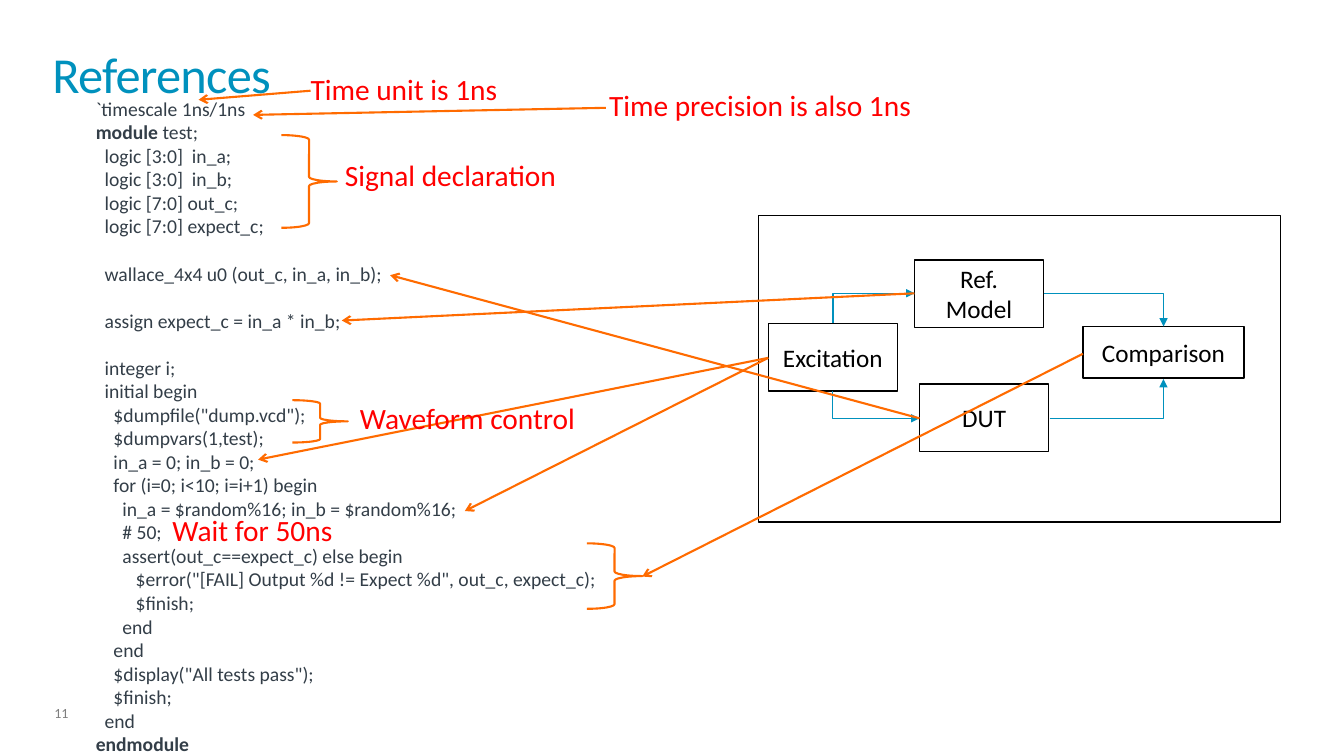
"""Build the annotated Verilog testbench slide with its block diagram."""
import dataclasses

import lxml.etree
import pptx
import pptx.dml.color
import pptx.enum.shapes
import pptx.enum.text
import pptx.oxml.ns
import pptx.util

Inches = pptx.util.Inches
Pt = pptx.util.Pt
Align = pptx.enum.text.PP_ALIGN
Anchor = pptx.enum.text.MSO_ANCHOR
Preset = pptx.enum.shapes.MSO_SHAPE
Route = pptx.enum.shapes.MSO_CONNECTOR


@dataclasses.dataclass(frozen=True)
class Theme:
    font: str = "Calibri"
    teal: str = "0091BD"
    orange: str = "FF6B00"
    red: str = "FF0000"
    slate: str = "333E48"
    gray: str = "7F7F7F"
    black: str = "000000"
    white: str = "FFFFFF"
    title_size: int = 36
    note_size: int = 21
    block_size: int = 18
    code_size: int = 14
    number_size: int = 10
    thin: float = 1
    thick: float = 1.5


THEME = Theme()

CODE = """`timescale 1ns/1ns
module test;
  logic [3:0]  in_a;
  logic [3:0]  in_b;
  logic [7:0] out_c;
  logic [7:0] expect_c;
    
  wallace_4x4 u0 (out_c, in_a, in_b);
  
  assign expect_c = in_a * in_b;
  
  integer i;
  initial begin
    $dumpfile("dump.vcd");
    $dumpvars(1,test);
    in_a = 0; in_b = 0;
    for (i=0; i<10; i=i+1) begin
      in_a = $random%16; in_b = $random%16;
      # 50;
      assert(out_c==expect_c) else begin
         $error("[FAIL] Output %d != Expect %d", out_c, expect_c);
         $finish;
      end
    end
    $display("All tests pass");
    $finish;
  end
endmodule"""
KEYWORDS = ("endmodule", "module")

BLOCKS = [
    ("", 7.52, 2.14, 5.18, 3.04),
    ("DUT", 9.12, 3.81, 1.28, 0.67),
    ("Ref.\nModel", 9.07, 2.58, 1.28, 0.67),
    ("Excitation", 7.62, 3.21, 1.28, 0.67),
    ("Comparison", 10.74, 3.24, 1.6, 0.51),
]
SIGNAL_PATHS = [
    ((8.26, 3.21), (9.07, 2.91), True),
    ((8.26, 3.88), (9.12, 4.15), True),
    ((10.35, 2.91), (11.54, 3.24), False),
    ((10.41, 4.15), (11.54, 3.76), False),
]
CODE_ARROWS = [
    ((7.62, 3.55), (2.56, 4.56)),
    ((9.12, 4.15), (3.87, 2.73)),
    ((9.07, 2.91), (3.39, 3.18)),
    ((10.74, 3.51), (6.37, 5.72)),
    ((7.62, 3.55), (4.61, 5.07)),
    ((3.08, 0.9), (1.97, 0.99)),
    ((6.01, 1.07), (2.51, 1.14)),
]
BRACES = [(2.79, 1.34, 0.92), (2.9, 3.97, 0.42), (5.82, 5.39, 0.65)]
NOTES = [
    ("Signal declaration", 3.42, 1.6, 2.15),
    ("Waveform control", 3.57, 4.01, 2.15),
    ("Wait for 50ns", 1.71, 5.12, 2.15),
    ("Time unit is 1ns", 3.08, 0.74, 2.15),
    ("Time precision is also 1ns", 6.04, 0.9, 3.72),
]


def rgb(color):
    """Turn a hex string into a colour."""
    return pptx.dml.color.RGBColor.from_string(color)


def write(frame, text, *, size, color, align=Align.LEFT, leading=1.0,
          after=0, tracking=0, bold_words=()):
    """Fill a text frame with one paragraph a line, emboldening leading words."""
    for index, line in enumerate(text.split("\n")):
        paragraph = frame.paragraphs[0] if index == 0 else frame.add_paragraph()
        paragraph.alignment = align
        paragraph.line_spacing = leading
        paragraph.space_after = Pt(after)
        head = next((word for word in bold_words if line.startswith(word)), "")
        for part, bold in ((head, True), (line[len(head):], False)):
            if not part:
                continue
            run = paragraph.add_run()
            run.text = part
            run.font.name = THEME.font
            run.font.size = Pt(size)
            run.font.bold = bold
            run.font.color.rgb = rgb(color)
            if tracking:
                run.font._element.set("spc", str(int(tracking * 100)))


def add_label(slide, text, left, top, width, height, **style):
    """Place text in a box without margins."""
    frame = slide.shapes.add_textbox(
        Inches(left), Inches(top), Inches(width), Inches(height)).text_frame
    frame.word_wrap = True
    frame.margin_left = frame.margin_right = 0
    frame.margin_top = frame.margin_bottom = 0
    write(frame, text, **style)


def add_block(slide, text, left, top, width, height):
    """Draw a white outlined block with a centred name."""
    block = slide.shapes.add_shape(
        Preset.RECTANGLE, Inches(left), Inches(top), Inches(width), Inches(height))
    block.shadow.inherit = False
    block.fill.solid()
    block.fill.fore_color.rgb = rgb(THEME.white)
    block.line.color.rgb = rgb(THEME.black)
    block.line.width = Pt(THEME.thin)
    block.text_frame.vertical_anchor = Anchor.MIDDLE
    if text:
        write(block.text_frame, text, size=THEME.block_size,
              color=THEME.black, align=Align.CENTER)


def add_brace(slide, left, top, height):
    """Draw a right brace beside a group of code lines."""
    brace = slide.shapes.add_shape(
        Preset.RIGHT_BRACE, Inches(left), Inches(top), Inches(0.55), Inches(height))
    brace.shadow.inherit = False
    brace.fill.background()
    brace.line.color.rgb = rgb(THEME.orange)
    brace.line.width = Pt(THEME.thick)


def add_arrow(slide, start, end, *, color, width, head, route=Route.STRAIGHT):
    """Draw a connector with an arrowhead at its end."""
    arrow = slide.shapes.add_connector(
        route, *(Inches(value) for value in (*start, *end)))
    arrow.line.color.rgb = rgb(color)
    arrow.line.width = Pt(width)
    qn = pptx.oxml.ns.qn
    lxml.etree.SubElement(arrow.line._get_or_add_ln(), qn("a:tailEnd"), type=head)
    lxml.etree.SubElement(arrow._element.spPr, qn("a:effectLst"))
    return arrow


def add_signal_path(slide, start, end, vertical_first):
    """Draw a one-bend arrow, turned a quarter when it leaves vertically."""
    if vertical_first:
        middle_x, middle_y = (start[0] + end[0]) / 2, (start[1] + end[1]) / 2
        half_x, half_y = (end[0] - start[0]) / 2, (end[1] - start[1]) / 2
        start = (middle_x - half_y, middle_y + half_x)
        end = (middle_x + half_y, middle_y - half_x)
    arrow = add_arrow(slide, start, end, color=THEME.teal, width=THEME.thin,
                      head="triangle", route=Route.ELBOW)
    properties = arrow._element.spPr
    properties.find(pptx.oxml.ns.qn("a:prstGeom")).set("prst", "bentConnector2")
    if vertical_first:
        properties.find(pptx.oxml.ns.qn("a:xfrm")).set("rot", "5400000")


def main():
    """Assemble and save the slide."""
    deck = pptx.Presentation()
    deck.slide_width, deck.slide_height = Inches(13.33), Inches(7.5)
    slide = deck.slides.add_slide(deck.slide_layouts[6])
    add_label(slide, "11", 0.54, 7.01, 0.34, 0.15, size=THEME.number_size,
              color=THEME.gray, leading=0.9, after=6)
    add_label(slide, "References", 0.52, 0.52, 12.28, 0.72, size=THEME.title_size,
              color=THEME.teal, leading=0.85, tracking=-0.5)
    add_label(slide, CODE, 0.95, 0.96, 5.95, 6.6, size=THEME.code_size,
              color=THEME.slate, bold_words=KEYWORDS)
    for block in BLOCKS:
        add_block(slide, *block)
    for signal_path in SIGNAL_PATHS:
        add_signal_path(slide, *signal_path)
    for start, end in CODE_ARROWS:
        add_arrow(slide, start, end, color=THEME.orange, width=THEME.thick, head="arrow")
    for brace in BRACES:
        add_brace(slide, *brace)
    for text, left, top, width in NOTES:
        add_label(slide, text, left, top, width, 0.32, size=THEME.note_size,
                  color=THEME.red, leading=0.9, after=6)
    deck.save("out.pptx")


if __name__ == "__main__":
    main()
